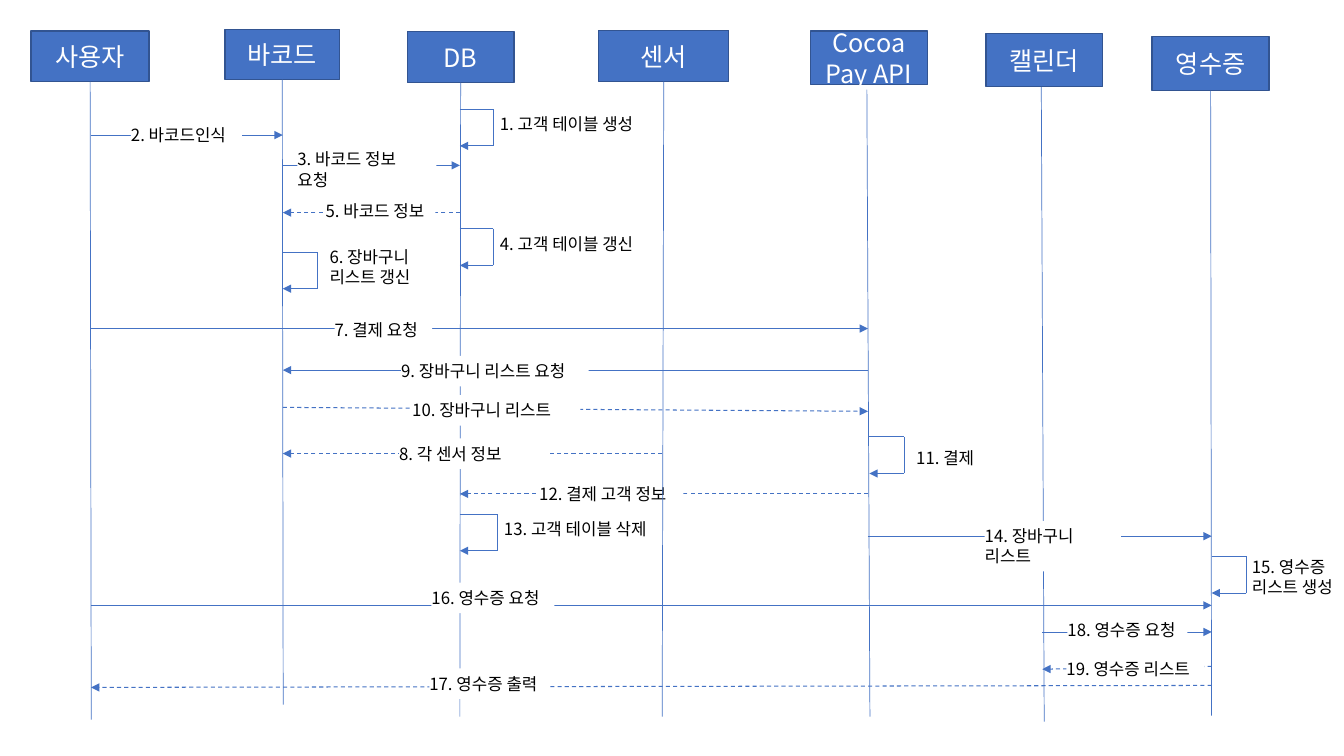
from pptx import Presentation
from pptx.dml.color import RGBColor
from pptx.enum import dml, shapes, text
from pptx.oxml.ns import qn
from pptx.util import Pt
from lxml import etree

FONT = "Noto Sans CJK KR"
BLUE = RGBColor(0x44, 0x72, 0xC4)
DARK_BLUE = RGBColor(0x32, 0x54, 0x91)
WHITE = RGBColor(0xFF, 0xFF, 0xFF)
BLACK = RGBColor(0x00, 0x00, 0x00)

# Horizontal position of each lifeline, in points
USER, BARCODE, DB, SENSOR = 65, 202, 328.5, 473
PAY, CALENDAR, RECEIPT = 620, 744.5, 865.5

ONE_LINE, TWO_LINES = 21.8, 36
LOOP_HEIGHT = 26.2

# Name, head box, foot of the lifeline, free start (None: joined to the head)
PARTICIPANTS = [
    ("사용자", (22.3, 22.3, 84.2, 36), (65.2, 514), None),
    ("바코드", (160.6, 20.9, 82.1, 36), (202.3, 503.3), None),
    ("DB", (290.9, 22.3, 76.3, 36.7), (328.5, 511.9), None),
    ("Cocoa Pay API", (578.9, 22.3, 83.5, 38.2), (621.4, 511.9), (619.2, 64.1)),
    ("캘린더", (704.2, 23.8, 83.5, 38.2), (745.9, 515.5), (743.8, 62)),
    ("영수증", (823, 25.9, 83.5, 38.9), (865.4, 511.2), None),
]
SENSOR_PARTICIPANT = ("센서", (427.7, 21.6, 92.9, 36.7), (473, 511.9), None)

# From, to, y at each end, dashed, text, label box
MESSAGES = [
    (USER, BARCODE, 96.5, 96.5, False, "2. 바코드인식", (93.6, 85.7, 79.2, ONE_LINE)),
    (BARCODE, DB, 118.1, 118.1, False, "3. 바코드 정보\n요청", (212.4, 103, 99.4, TWO_LINES)),
    (DB, BARCODE, 151.9, 151.9, True, "5. 바코드 정보", (232.6, 139.7, 78.5, ONE_LINE)),
    (USER, PAY, 234.7, 234.7, False, "7. 결제 요청", (239, 224.6, 69.8, ONE_LINE)),
    (PAY, BARCODE, 264.4, 264.4, False, "9. 장바구니 리스트 요청", (286.6, 254.2, 133.9, ONE_LINE)),
    (BARCODE, PAY, 291, 293.8, True, "10. 장바구니 리스트", (294.5, 282.2, 120.2, ONE_LINE)),
    (SENSOR, BARCODE, 324, 324, True, "8. 각 센서 정보", (285.1, 313.2, 105.8, ONE_LINE)),
    (PAY, DB, 352.8, 352.8, True, "12. 결제 고객 정보", (385.2, 342, 103, ONE_LINE)),
    (PAY, RECEIPT, 383, 383, False, "14. 장바구니 리스트", (703.4, 372.2, 97.2, TWO_LINES)),
    (USER, RECEIPT, 432.4, 432.4, False, "16. 영수증 요청", (308.2, 416.2, 87.8, ONE_LINE)),
    (CALENDAR, RECEIPT, 451.4, 451.4, False, "18. 영수증 요청", (762.5, 439.2, 85.7, ONE_LINE)),
    (RECEIPT, CALENDAR, 476, 478, True, "19. 영수증 리스트", (761.8, 467.3, 98.6, ONE_LINE)),
    (RECEIPT, USER, 489.6, 491, True, "17. 영수증 출력", (306.7, 477.4, 85.7, ONE_LINE)),
]

# Lifeline, top, loop width, text, label box
SELF_CALLS = [
    (DB, 78, 24, "1. 고객 테이블 생성", (357.1, 77.8, 108, ONE_LINE)),
    (DB, 163.4, 24, "4. 고객 테이블 갱신", (357.1, 163.4, 108, ONE_LINE)),
    (BARCODE, 180, 24.8, "6. 장바구니 리스트 갱신", (235.4, 172.8, 74.2, TWO_LINES)),
    (PAY + 1, 312, 24.8, "11. 결제", (654.5, 316.1, 69.8, ONE_LINE)),
    (DB, 367.2, 26.6, "13. 고객 테이블 삭제", (360, 367.2, 118.8, ONE_LINE)),
    (RECEIPT, 397.4, 24.8, "15. 영수증 리스트 생성", (894.2, 393.8, 65.8, TWO_LINES)),
]


def add_line(slide, start, end, width=0.5, arrow=False, dashed=False):
    points = [Pt(value) for value in (*start, *end)]
    connector = slide.shapes.add_connector(shapes.MSO_CONNECTOR.STRAIGHT, *points)
    connector.line.color.rgb = BLUE
    connector.line.width = Pt(width)
    if dashed:
        connector.line.dash_style = dml.MSO_LINE.DASH
    if arrow:
        outline = connector.line._get_or_add_ln()
        etree.SubElement(outline, qn("a:tailEnd"), type="triangle")
    etree.SubElement(connector._element.spPr, qn("a:effectLst"))
    return connector


def add_box(slide, box, fill):
    shape = slide.shapes.add_shape(
        shapes.MSO_SHAPE.RECTANGLE, *[Pt(value) for value in box])
    shape.shadow.inherit = False
    shape.fill.solid()
    shape.fill.fore_color.rgb = fill
    shape.text_frame.word_wrap = True
    return shape


def write_text(paragraph, words, size, color, alignment):
    paragraph.alignment = alignment
    run = paragraph.add_run()
    run.text = words
    run.font.size = Pt(size)
    run.font.color.rgb = color
    run.font.name = FONT
    etree.SubElement(run._r.get_or_add_rPr(), qn("a:ea"), typeface=FONT)


def add_label(slide, words, box):
    """Add a white box whose text covers the lines behind it."""
    shape = add_box(slide, box, WHITE)
    shape.line.fill.background()
    frame = shape.text_frame
    frame.auto_size = text.MSO_AUTO_SIZE.SHAPE_TO_FIT_TEXT
    frame.vertical_anchor = text.MSO_ANCHOR.TOP
    frame.margin_left = frame.margin_right = 0
    for index, line in enumerate(words.split("\n")):
        paragraph = frame.add_paragraph() if index else frame.paragraphs[0]
        write_text(paragraph, line, 12, BLACK, text.PP_ALIGN.LEFT)


def add_participant(slide, name, box, foot, start):
    """Add a head box with its lifeline."""
    head = add_box(slide, box, BLUE)
    head.line.color.rgb = DARK_BLUE
    head.line.width = Pt(1)
    head.text_frame.vertical_anchor = text.MSO_ANCHOR.MIDDLE
    write_text(head.text_frame.paragraphs[0], name, 18, WHITE, text.PP_ALIGN.CENTER)
    lifeline = add_line(slide, start or foot, foot)
    if start is None:
        lifeline.begin_connect(head, 2)


def add_message(slide, source, target, source_y, target_y, dashed, words, box):
    width = 0.75 if dashed else 0.5
    add_line(slide, (source, source_y), (target, target_y), width, True, dashed)
    add_label(slide, words, box)


def add_self_call(slide, x, top, width, words, box):
    right, bottom = x + width, top + LOOP_HEIGHT
    add_line(slide, (x, top), (right, top))
    add_line(slide, (right, top), (right, bottom))
    add_line(slide, (right, bottom), (x, bottom), arrow=True)
    add_label(slide, words, box)


def main():
    presentation = Presentation()
    presentation.slide_width = Pt(960)
    presentation.slide_height = Pt(540)
    slide = presentation.slides.add_slide(presentation.slide_layouts[6])
    for participant in PARTICIPANTS:
        add_participant(slide, *participant)
    for message in MESSAGES:
        add_message(slide, *message)
    for self_call in SELF_CALLS:
        add_self_call(slide, *self_call)
    # The sensor lifeline runs in front of the labels it crosses
    add_participant(slide, *SENSOR_PARTICIPANT)
    presentation.save("out.pptx")


if __name__ == "__main__":
    main()
